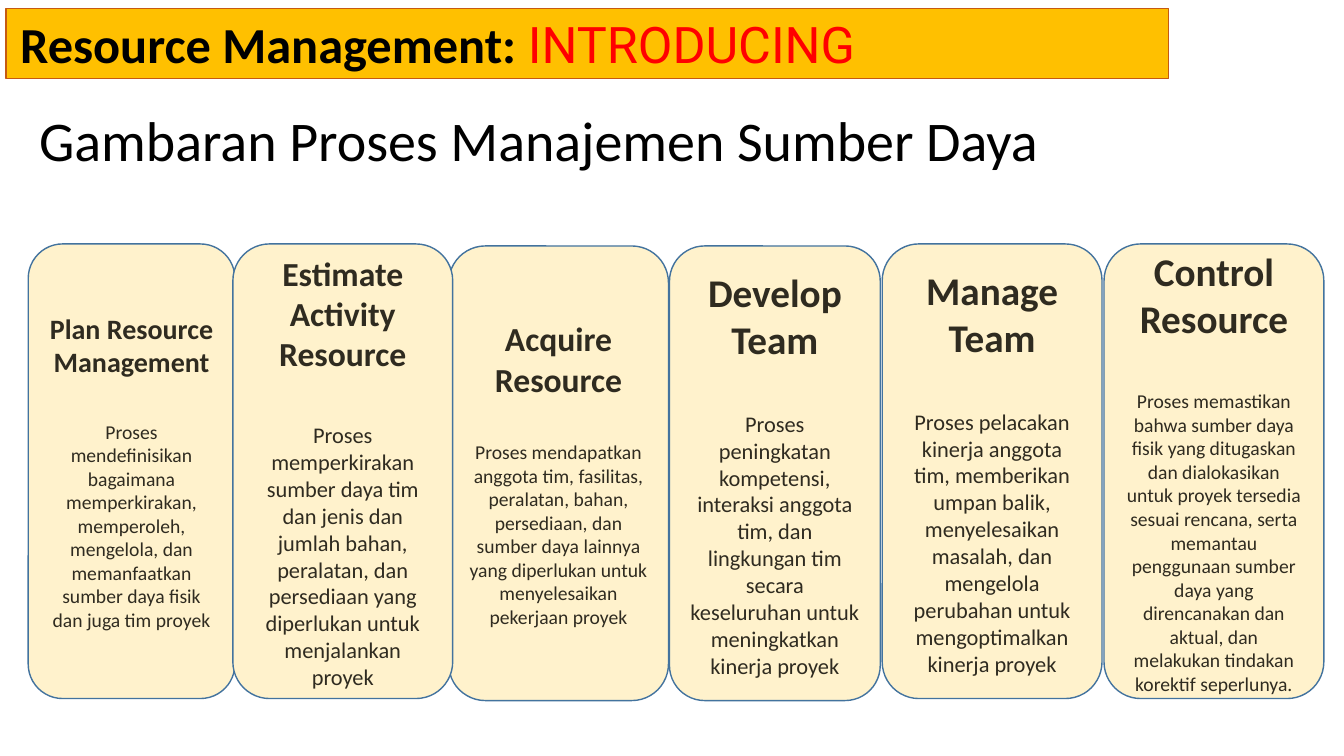
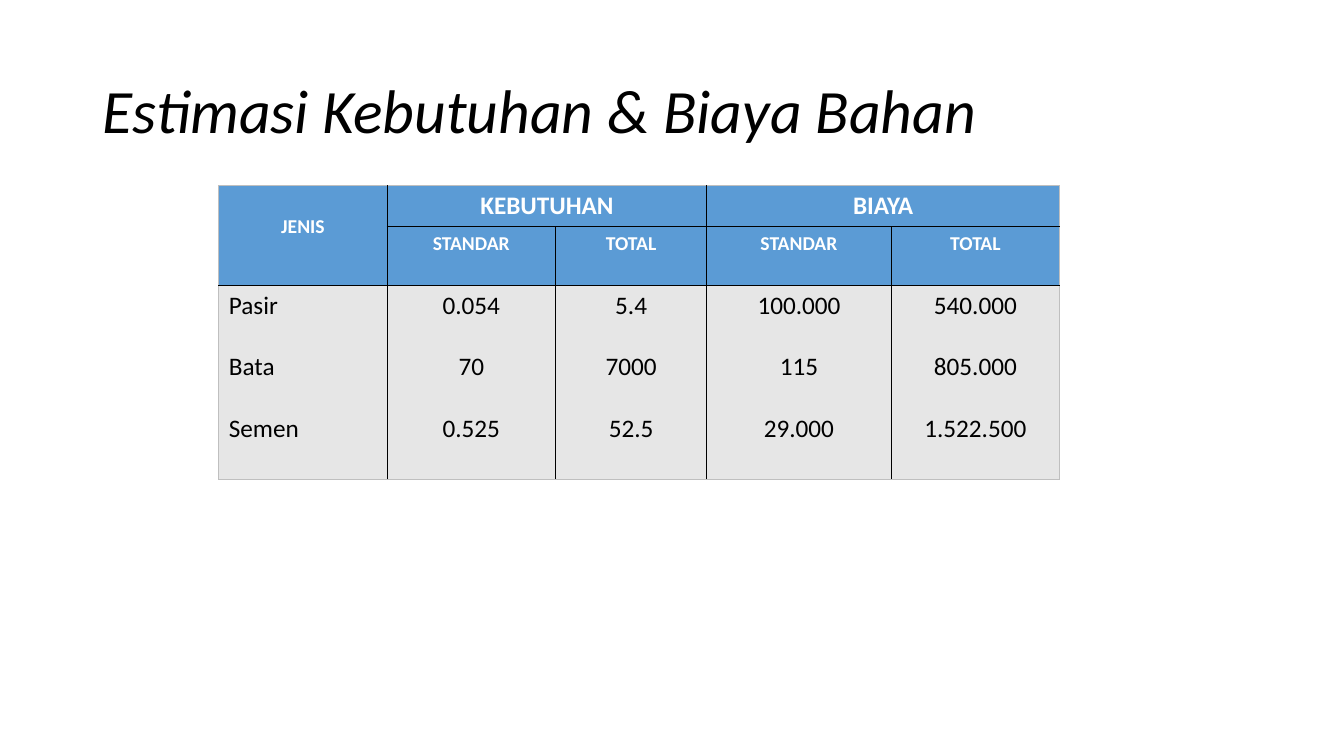
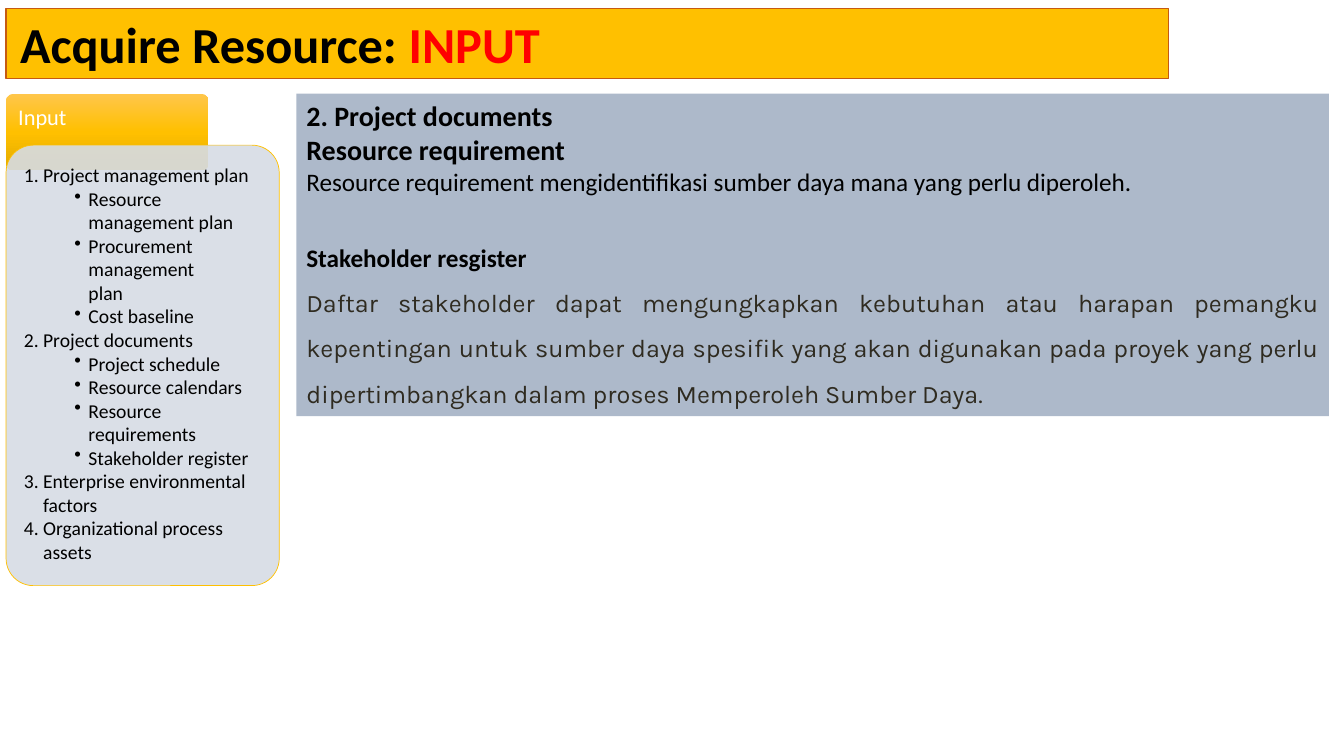
"""Build three slides on project resource management."""
from copy import deepcopy
from dataclasses import dataclass

from lxml import etree
from pptx import Presentation
from pptx.dml.color import RGBColor
from pptx.enum import shapes, text
from pptx.oxml import ns
from pptx.util import Inches, Pt


@dataclass(frozen=True)
class Theme:
    font: str = "Calibri"
    black: str = "000000"
    white: str = "FFFFFF"
    ink: str = "2F2B20"
    red: str = "FF0000"
    gold: str = "FFC000"
    rust: str = "C55A11"
    cream: str = "FFF2CC"
    navy: str = "43739E"
    blue: str = "5B9BD5"
    grey: str = "E6E6E6"
    edge: str = "BFBFBF"
    slate: str = "ADB9CA"
    pale: str = "D6DCE5"
    small: int = 14
    note: int = 16
    body: int = 18
    lead: int = 20
    head: int = 24
    big: int = 28
    band: int = 36
    title: int = 40
    large: int = 44


T = Theme()
MID, LEFT, FULL = text.PP_ALIGN.CENTER, text.PP_ALIGN.LEFT, text.PP_ALIGN.JUSTIFY
TOP, HALF, BASE = text.MSO_ANCHOR.TOP, text.MSO_ANCHOR.MIDDLE, text.MSO_ANCHOR.BOTTOM
RECT, ROUND = shapes.MSO_SHAPE.RECTANGLE, shapes.MSO_SHAPE.ROUNDED_RECTANGLE
LINE = 1.22

CARDS = [
    (0.28, 2.42, 2.05, T.lead, T.head, T.small, "Plan Resource Management",
     "Proses mendefinisikan bagaimana memperkirakan, memperoleh, mengelola, dan "
     "memanfaatkan sumber daya fisik dan juga tim proyek"),
    (4.45, 2.44, 2.18, T.head, T.head, T.small, "Acquire Resource",
     "Proses mendapatkan anggota tim, fasilitas, peralatan, bahan, persediaan, dan "
     "sumber daya lainnya yang diperlukan untuk menyelesaikan pekerjaan proyek"),
    (6.64, 2.44, 2.09, T.big, T.big, T.note, "Develop Team",
     "Proses peningkatan kompetensi, interaksi anggota tim, dan lingkungan tim secara "
     "keseluruhan untuk meningkatkan kinerja proyek"),
    (8.75, 2.42, 2.18, T.big, T.big, T.note, "Manage Team",
     "Proses pelacakan kinerja anggota tim, memberikan umpan balik, menyelesaikan "
     "masalah, dan mengelola perubahan untuk mengoptimalkan kinerja proyek"),
    (2.31, 2.42, 2.18, T.head, T.big, T.note, "Estimate Activity Resource",
     "Proses memperkirakan sumber daya tim dan jenis dan jumlah bahan, peralatan, dan "
     "persediaan yang diperlukan untuk menjalankan proyek"),
    (10.95, 2.42, 2.18, T.big, T.big, T.small, "Control Resource",
     "Proses memastikan bahwa sumber daya fisik yang ditugaskan dan dialokasikan untuk "
     "proyek tersedia sesuai rencana, serta memantau penggunaan sumber daya yang "
     "direncanakan dan aktual, dan melakukan tindakan korektif seperlunya."),
]

COLS = [1.67, 1.67, 1.5, 1.83, 1.67]
ROWS = [0.41, 0.58, 1.93]
MERGED = [(0, 0, 1, 0), (0, 1, 0, 2), (0, 3, 0, 4)]
GRID = [
    ["JENIS", "KEBUTUHAN", "", "BIAYA", ""],
    ["", "STANDAR", "TOTAL", "STANDAR", "TOTAL"],
    [["Pasir", "Bata", "Semen"], ["0.054", "70", "0.525"], ["5.4", "7000", "52.5"],
     ["100.000", "115", "29.000"], ["540.000", "805.000", "1.522.500"]],
]

INPUTS = [
    ("Project management plan",
     ["Resource management plan", "Procurement management\nplan", "Cost baseline"]),
    ("Project documents",
     ["Project schedule", "Resource calendars", "Resource requirements",
      "Stakeholder register"]),
    ("Enterprise environmental factors", []),
    ("Organizational process assets", []),
]

DETAIL = [
    ("2. Project documents", dict(size=T.lead, bold=True), {}),
    ("Resource requirement", dict(size=T.lead, bold=True), {}),
    ("Resource requirement mengidentifikasi sumber daya mana yang perlu diperoleh.",
     dict(size=T.body), {}),
    ("Stakeholder resgister", dict(size=T.body, bold=True),
     dict(space_before=Pt(T.body * LINE), line_spacing=1.5)),
    ("Daftar stakeholder dapat mengungkapkan kebutuhan atau harapan pemangku kepentingan "
     "untuk sumber daya spesifik yang akan digunakan pada proyek yang perlu "
     "dipertimbangkan dalam proses Memperoleh Sumber Daya.",
     dict(size=T.body, name="Karla", color=T.ink),
     dict(alignment=FULL, line_spacing=1.5)),
]


def rgb(tint):
    """Turn a hex string into a colour."""
    return RGBColor.from_string(tint)


def apply(item, look):
    """Set each value of a dict on an object."""
    for key, val in look.items():
        setattr(item, key, val)


def ink(font, look):
    """Format a font, with theme defaults."""
    look = dict(name=T.font, color=T.black) | look
    font.color.rgb = rgb(look.pop("color"))
    look["size"] = Pt(look["size"])
    apply(font, look)


def write(frame, paras, **look):
    """Fill a text frame from (runs, format, marker) paragraphs."""
    apply(frame, dict(word_wrap=True, vertical_anchor=TOP) | look)
    for num, (runs, form, mark) in enumerate(paras):
        para = frame.add_paragraph() if num else frame.paragraphs[0]
        apply(para, dict(alignment=LEFT) | form)
        if mark:
            tag, attrs, left, hang = mark
            prop = para._p.get_or_add_pPr()
            prop.set("marL", str(Inches(left)))
            prop.set("indent", str(-Inches(hang)))
            etree.SubElement(prop, ns.qn(tag), attrs)
        for words, font in runs:
            for part, line in enumerate(words.split("\n")):
                if part:
                    para.add_line_break()
                run = para.add_run()
                run.text = line
                ink(run.font, font)


def inset(side, top):
    """Give equal side and equal top and bottom margins."""
    return dict(margin_left=Inches(side), margin_right=Inches(side),
                margin_top=Inches(top), margin_bottom=Inches(top))


def box(slide, kind, area, fill, line=None, width=1):
    """Add a plain filled shape."""
    item = slide.shapes.add_shape(kind, *map(Inches, area))
    item.shadow.inherit = False
    item.fill.solid()
    item.fill.fore_color.rgb = rgb(fill)
    if line:
        item.line.color.rgb = rgb(line)
        item.line.width = Pt(width)
    else:
        item.line.fill.background()
    return item


def band(slide, label, topic, **look):
    """Add the gold title band."""
    bar = box(slide, RECT, (0.06, 0.08, 11.53, 0.7), T.gold, T.rust, 0.75)
    runs = [(label + ": ", dict(size=T.band, bold=True)),
            (topic, dict(size=T.band, color=T.red) | look)]
    write(bar.text_frame, [(runs, {}, None)], **inset(0.14, 0.05))


def title(slide, words, area, font, **look):
    """Add a large plain title."""
    item = slide.shapes.add_textbox(*map(Inches, area))
    write(item.text_frame, [([(words, font)], dict(line_spacing=0.9), None)], **look)


def cards(slide):
    """Draw the process overview."""
    band(slide, "Resource Management", "INTRODUCING", name="Roboto")
    title(slide, "Gambaran Proses Manajemen Sumber Daya", (0.29, 1.07, 11.29, 0.75),
          dict(size=T.title), vertical_anchor=BASE, **inset(0.1, 0.1))
    for left, top, width, size, gap, small, head, body in CARDS:
        card = box(slide, ROUND, (left, top, width, 4.51), T.cream, T.navy)
        write(card.text_frame, [
            ([(head, dict(size=size, bold=True, color=T.ink))], dict(alignment=MID), None),
            ([(body, dict(size=small, color=T.ink))],
             dict(alignment=MID, space_before=Pt(gap * LINE)), None),
        ], vertical_anchor=HALF)


def border(cell, tag, tint, width):
    """Draw one edge of a table cell."""
    edge = etree.SubElement(cell._tc.get_or_add_tcPr(), ns.qn(tag), w=str(Pt(width)))
    fill = etree.SubElement(edge, ns.qn("a:solidFill"))
    etree.SubElement(fill, ns.qn("a:srgbClr"), val=tint)


def costs(slide):
    """Draw the material cost table."""
    title(slide, "Estimasi Kebutuhan & Biaya Bahan", (0.92, 0.4, 11.5, 1.45),
          dict(size=T.large, italic=True), vertical_anchor=HALF)
    area = (2.17, 1.84, sum(COLS), sum(ROWS))
    table = slide.shapes.add_table(len(ROWS), len(COLS), *map(Inches, area)).table
    for col, width in zip(table.columns, COLS):
        col.width = Inches(width)
    for row, height in zip(table.rows, ROWS):
        row.height = Inches(height)
    for top, left, low, right in MERGED:
        table.cell(top, left).merge(table.cell(low, right))
    for r, row in enumerate(GRID):
        for c, value in enumerate(row):
            cell = table.cell(r, c)
            wide, tall = (cell.span_width, cell.span_height) if cell.is_merge_origin else (1, 1)
            outer = {"a:lnL": c == 0, "a:lnR": c + wide == len(COLS),
                     "a:lnT": r == 0, "a:lnB": r + tall == len(ROWS)}
            for tag, rim in outer.items():
                border(cell, tag, T.edge if rim else T.black, 0.5 if rim else 1)
            data = r == 2
            cell.fill.solid()
            cell.fill.fore_color.rgb = rgb(T.grey if data else T.blue)
            if not value:
                continue
            font = dict(size=T.body if data or (r == 0 and c) else T.small,
                        bold=not data, color=T.black if data else T.white)
            form = dict(alignment=LEFT if data and c == 0 else MID)
            space = dict(space_before=Pt(T.body * LINE))
            items = value if data else [value]
            write(cell.text_frame, [([(item, font)], form | (space if n else {}), None)
                                    for n, item in enumerate(items)])
            if tall > 1:
                cell.margin_top = Inches(0.29)


def inputs(slide):
    """Draw the input list and its detail panel."""
    band(slide, "Acquire Resource", "INPUT", bold=True)
    panel = box(slide, RECT, (2.94, 0.93, 10.24, 3.2), T.slate)
    write(panel.text_frame, [([(words, font)], form, None) for words, font, form in DETAIL])

    tab = box(slide, ROUND, (0.06, 0.93, 2.01, 0.76), T.gold)
    tab.adjustments[0] = 0.1
    tab.fill.gradient()
    tab.fill.gradient_angle = 270
    stops = tab._element.spPr.find(".//" + ns.qn("a:gsLst"))
    stops.insert(1, deepcopy(stops[0]))
    shades = [(0, "FFC64B"), (0.5, T.gold), (1, "E3AB00")]
    for stop, (place, tint) in zip(tab.fill.gradient_stops, shades):
        stop.position = place
        stop.color.rgb = rgb(tint)
    write(tab.text_frame, [([("Input", dict(size=T.note, color=T.white))],
                            dict(line_spacing=0.9), None)], **inset(0.1, 0.1))

    card = box(slide, ROUND, (0.06, 1.44, 2.71, 4.37), T.pale, T.gold, 0.5)
    card.adjustments[0] = 0.1
    tint = card._element.spPr.find(ns.qn("a:solidFill"))[0]
    etree.SubElement(tint, ns.qn("a:alpha"), val="90000")
    font = dict(size=T.small)
    paras = []
    for num, (head, subs) in enumerate(INPUTS, 1):
        auto = dict(type="arabicPeriod", startAt=str(num))
        paras.append(([(head, font)], {}, ("a:buAutoNum", auto, 0.19, 0.19)))
        paras += [([(sub, font)], dict(level=1), ("a:buChar", dict(char="•"), 0.64, 0.14))
                  for sub in subs]
    write(card.text_frame, paras, **inset(0.1, 0.1))


def main():
    """Build and save the deck."""
    deck = Presentation()
    deck.slide_width, deck.slide_height = Inches(13.33), Inches(7.5)
    for draw in (cards, costs, inputs):
        draw(deck.slides.add_slide(deck.slide_layouts[6]))
    deck.save("out.pptx")


if __name__ == "__main__":
    main()
